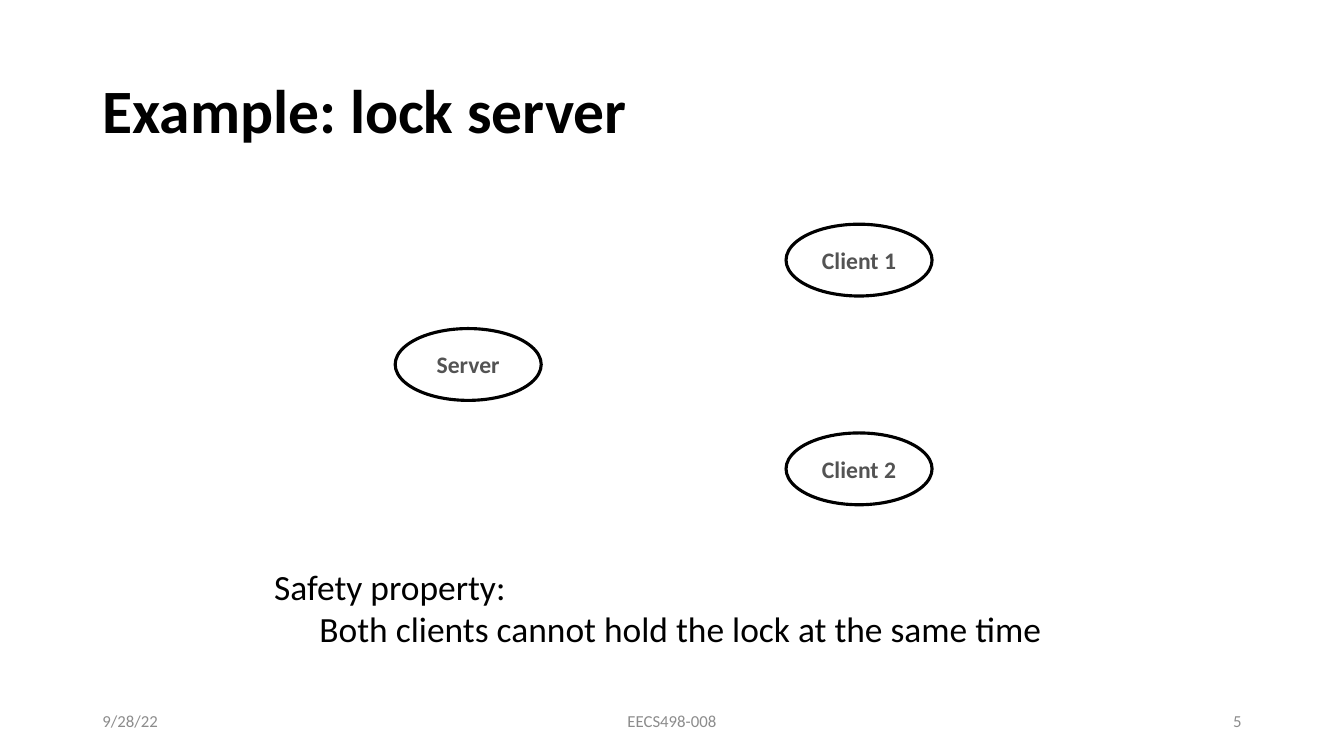
import pptx
import pptx.util
import pptx.dml.color
import pptx.enum.shapes
import pptx.enum.text
from pptx.util import Cm

SHAPES = pptx.enum.shapes.MSO_SHAPE
ALIGN = pptx.enum.text.PP_ALIGN


def color(code):
    return pptx.dml.color.RGBColor.from_string(code)


class LockSlide:
    font = "Calibri"
    black, white = "000000", "FFFFFF"
    label_gray, footer_gray = "535353", "8C8C8C"
    node_width, node_height = 3.68, 1.81
    label_width, label_height = 2.39, 0.92
    tight = 0.1

    def __init__(self, deck):
        self.page = deck.slides.add_slide(deck.slide_layouts[6])

    def fill_frame(self, frame, lines, size, ink, bold=False, align=ALIGN.LEFT, inset=None):
        """Fill a frame with one paragraph per line, centred vertically."""
        frame.word_wrap = True
        frame.vertical_anchor = pptx.enum.text.MSO_ANCHOR.MIDDLE
        if inset is not None:
            frame.margin_left = frame.margin_right = Cm(inset)
            frame.margin_top = frame.margin_bottom = Cm(inset)
        for index, line in enumerate(lines):
            para = frame.paragraphs[0] if index == 0 else frame.add_paragraph()
            para.text = line
            para.alignment = align
            para.font.name = self.font
            para.font.size = pptx.util.Pt(size)
            para.font.bold = bold
            para.font.color.rgb = color(ink)
        return frame.paragraphs

    def text(self, left, top, width, height, lines, size, ink, **style):
        box = self.page.shapes.add_textbox(Cm(left), Cm(top), Cm(width), Cm(height))
        return self.fill_frame(box.text_frame, lines, size, ink, **style)

    def plain_shape(self, group, kind, left, top, width, height):
        shape = group.shapes.add_shape(kind, Cm(left), Cm(top), Cm(width), Cm(height))
        shape.shadow.inherit = False
        shape.fill.solid()
        shape.fill.fore_color.rgb = color(self.white)
        return shape

    def node(self, left, top, name):
        """Draw an outlined ellipse with its label centred on it."""
        group = self.page.shapes.add_group_shape()
        ellipse = self.plain_shape(group, SHAPES.OVAL, left, top,
                                   self.node_width, self.node_height)
        ellipse.line.color.rgb = color(self.black)
        ellipse.line.width = pptx.util.Pt(2.25)
        label = self.plain_shape(group, SHAPES.RECTANGLE,
                                 left + (self.node_width - self.label_width) / 2,
                                 top + (self.node_height - self.label_height) / 2,
                                 self.label_width, self.label_height)
        label.line.fill.background()
        self.fill_frame(label.text_frame, [name], 16.9, self.label_gray, bold=True,
                        align=ALIGN.CENTER, inset=self.tight)

    def footer(self, left, width, words, align):
        self.text(left, 17.65, width, 1.01, [words], 12, self.footer_gray, align=align)


def main():
    deck = pptx.Presentation()
    deck.slide_width, deck.slide_height = Cm(33.87), Cm(19.05)
    slide = LockSlide(deck)

    title = slide.text(2.33, 1.01, 29.21, 3.68, ["Example: lock server"], 44,
                       slide.black, bold=True)
    title[0].line_spacing = 0.9

    server_top, client_offset = 8.28, 2.63
    slide.node(9.96, server_top, "Server")
    slide.node(19.81, server_top - client_offset, "Client 1")
    slide.node(19.81, server_top + client_offset, "Client 2")

    safety = slide.text(6.81, 14.12, 22.12, 2.36,
                        ["Safety property:",
                         "Both clients cannot hold the lock at the same time"],
                        25.3, slide.black, inset=slide.tight)
    safety[1]._p.get_or_add_pPr().set("marL", str(Cm(1.14)))

    slide.footer(2.33, 7.62, "9/28/22", ALIGN.LEFT)
    slide.footer(11.22, 11.43, "EECS498-008", ALIGN.CENTER)
    slide.footer(23.92, 7.62, "5", ALIGN.RIGHT)
    deck.save("out.pptx")


if __name__ == "__main__":
    main()
